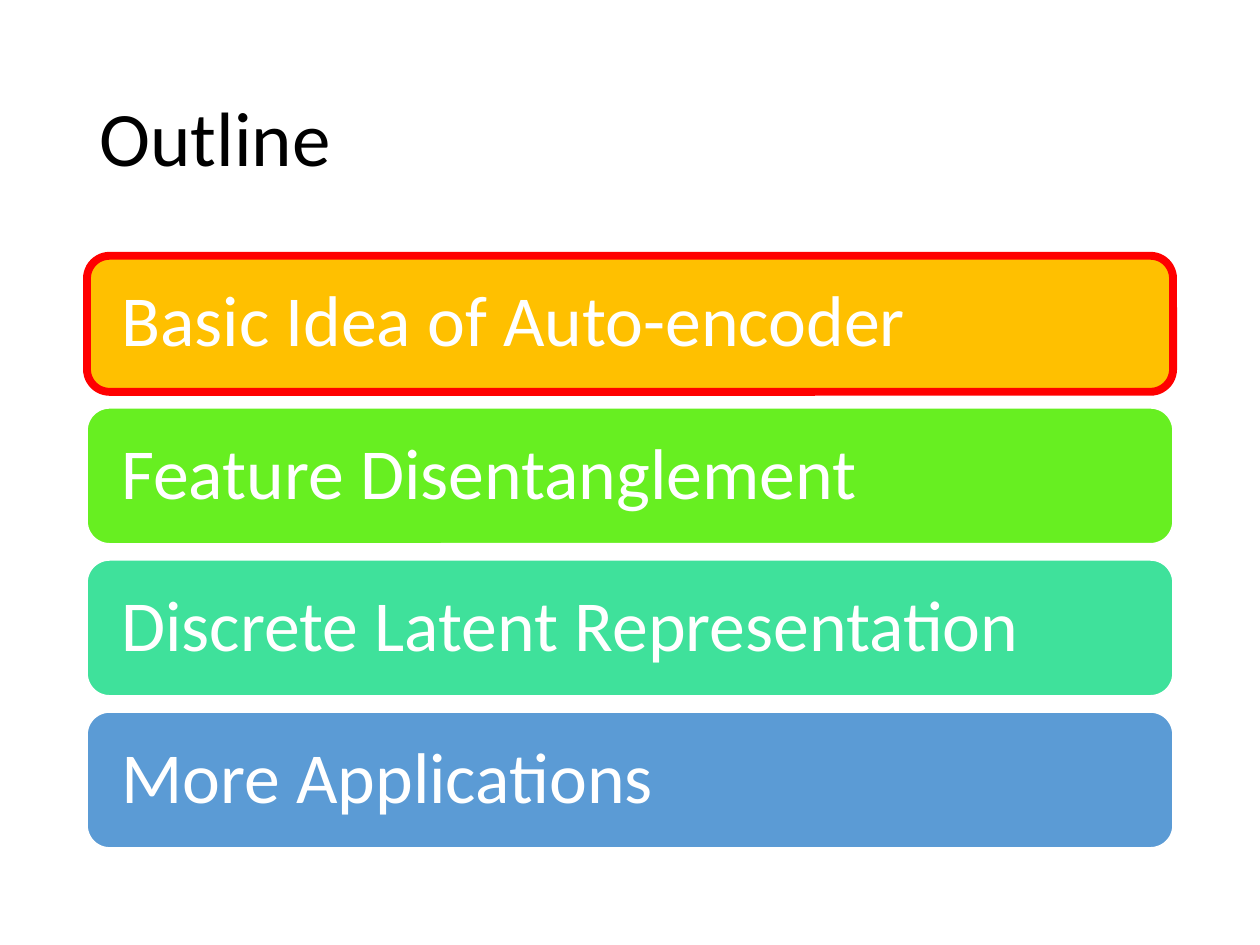
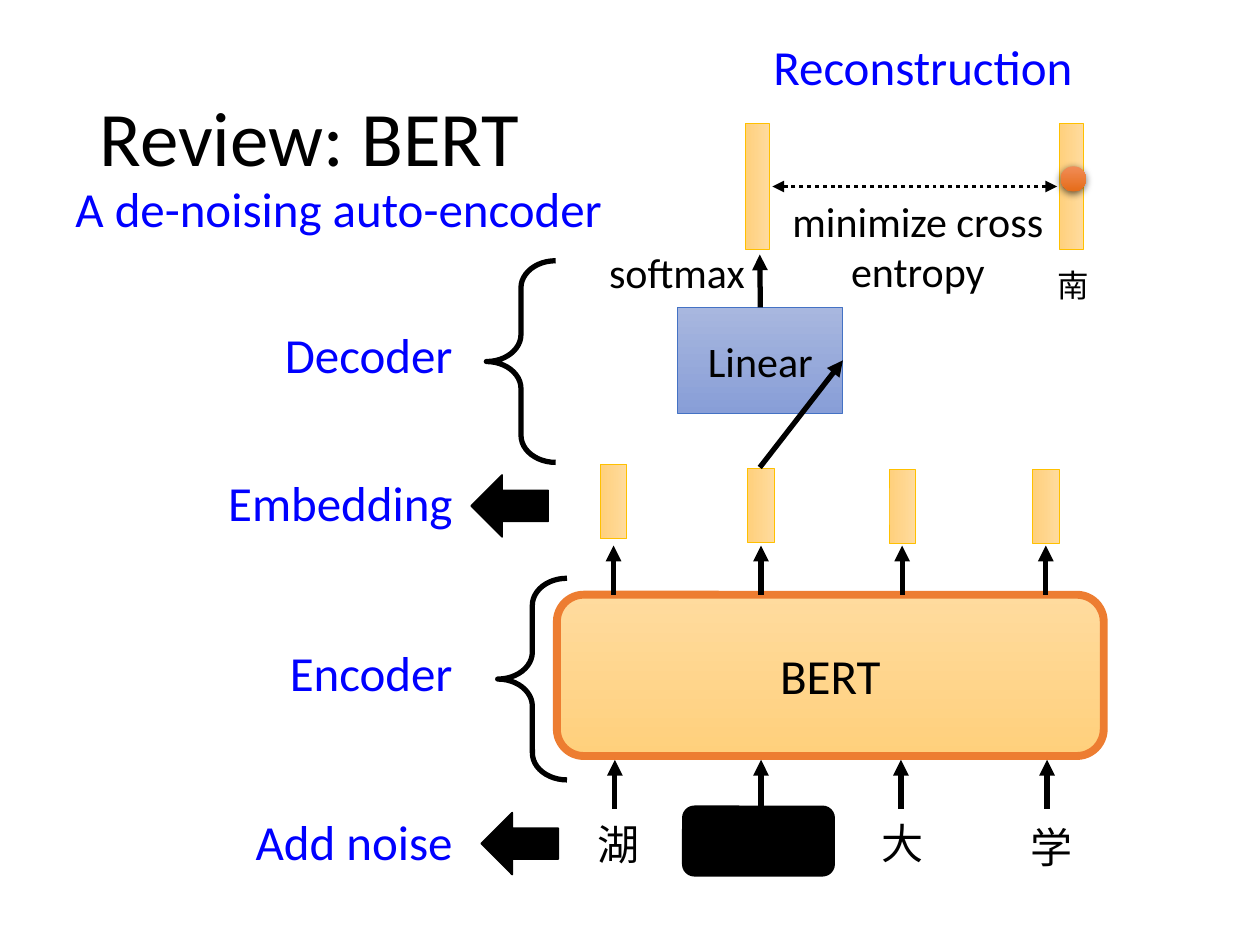
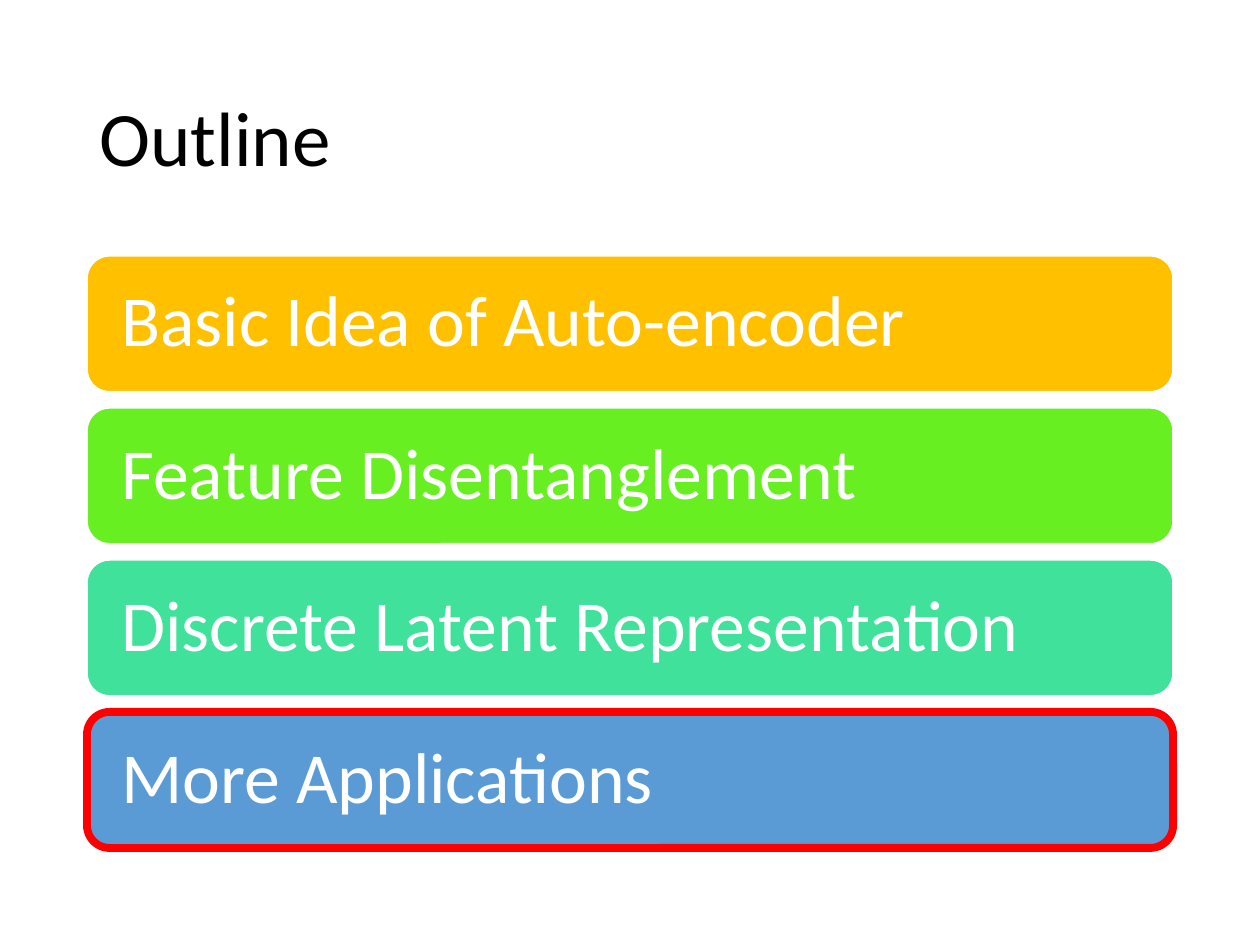
from lxml.etree import SubElement
from pptx import Presentation
from pptx.dml.color import RGBColor
from pptx.enum.dml import MSO_LINE_DASH_STYLE as DASH
from pptx.enum.shapes import MSO_CONNECTOR, MSO_SHAPE as SHAPE
from pptx.enum.text import MSO_ANCHOR as ANCHOR, PP_ALIGN as ALIGN
from pptx.oxml.ns import qn
from pptx.util import Inches, Pt

FONT, CJK_FONT = "Calibri", "Noto Sans CJK TC"
BLACK, WHITE, BLUE, RED = "000000", "FFFFFF", "0000FF", "FF0000"
GOLD, ORANGE = "FFC000", "ED7D31"
SAND = ("FFDB9E", "FFD07C")
PERIWINKLE = ("A8B7DF", "889ED7")
EMBER = ("F18C57", "E56C19")

# Outline slides
TOPICS = [
    ("Basic Idea of Auto-encoder", GOLD),
    ("Feature Disentanglement", "67EF21"),
    ("Discrete Latent Representation", "3FE19B"),
    ("More Applications", "5B9BD5"),
]
MARGIN, CONTENT_W = 0.69, 8.62
FIRST_TOPIC, LAST_TOPIC, TOPIC_H = 2.03, 5.65, 1.08

# BERT slide: (text, centre x, top) and (text, top)
TOKENS = [("湖", 4.9, 6.45), ("大", 7.16, 6.44), ("学", 8.34, 6.47)]
TOKEN_XS = [4.88, 6.04, 7.15, 8.31]
MASKED = 1
EMBEDDINGS = [(4.87, 3.98), (6.04, 4.01), (7.16, 4.02), (8.3, 4.02)]
STAGES = [("Decoder", 2.53), ("Embedding", 3.7), ("Encoder", 5.05), ("Add noise", 6.39)]
BRACES = [(3.86, 2.07), (3.95, 4.59)]
BLOCK_ARROWS = [(3.74, 3.77), (3.82, 6.45)]


def rgb(value):
    return RGBColor.from_string(value)


def paint(fill, colour):
    """Fill with nothing, one colour, or a pair running from top to bottom."""
    if colour is None:
        fill.background()
    elif isinstance(colour, tuple):
        fill.gradient()
        fill.gradient_angle = 270
        for stop, value in zip(fill.gradient_stops, colour):
            stop.color.rgb = rgb(value)
    else:
        fill.solid()
        fill.fore_color.rgb = rgb(colour)


def write(sp, text, size, colour=BLACK, align=ALIGN.CENTER, font=FONT):
    tf = sp.text_frame
    tf.word_wrap = True
    p = tf.paragraphs[0]
    p.alignment = align
    r = p.add_run()
    r.text = text
    r.font.size, r.font.name = Pt(size), font
    r.font.color.rgb = rgb(colour)
    if font == CJK_FONT:
        SubElement(r.font._element, qn("a:ea"), typeface=font)
    return tf


def add_shape(s, kind, box, fill=None, line=None, width=1.0):
    sp = s.shapes.add_shape(kind, *map(Inches, box))
    sp.shadow.inherit = False
    paint(sp.fill, fill)
    paint(sp.line.fill, line)
    if line:
        sp.line.width = Pt(width)
    return sp


def add_label(s, text, box, size=28, colour=BLUE, align=ALIGN.RIGHT, font=FONT):
    write(s.shapes.add_textbox(*map(Inches, box)), text, size, colour, align, font)


def add_arrow(s, start, end, width=3.0, ends=("tailEnd",)):
    line = s.shapes.add_connector(MSO_CONNECTOR.STRAIGHT, *map(Inches, start + end))
    line.line.width = Pt(width)
    line.line.fill.solid()
    line.line.color.rgb = rgb(BLACK)
    if len(ends) == 2:
        line.line.dash_style = DASH.ROUND_DOT
    ln = line.line._get_or_add_ln()
    for end_tag in ends:
        SubElement(ln, qn("a:" + end_tag), type="triangle")
    SubElement(line._element.spPr, qn("a:effectLst"))
    return line


def add_vector(s, cx, cy, length, thickness):
    """Upright bar: a flat rectangle turned a quarter around its centre."""
    box = (cx - length / 2, cy - thickness / 2, length, thickness)
    add_shape(s, SHAPE.RECTANGLE, box, SAND, GOLD, 0.5).rotation = 90


def add_soft_shadow(sp):
    effects = sp._element.spPr.find(qn("a:effectLst"))
    shadow = SubElement(effects, qn("a:outerShdw"), blurRad=str(Pt(4.5)), dist=str(Pt(1.5)),
                        dir="5400000", algn="ctr", rotWithShape="0")
    colour = SubElement(shadow, qn("a:srgbClr"), val=BLACK)
    SubElement(colour, qn("a:alpha"), val="63000")


def add_titled_slide(prs, title):
    s = prs.slides.add_slide(prs.slide_layouts[5])
    sp = s.shapes.title
    sp.left, sp.top, sp.width, sp.height = map(Inches, (MARGIN, 0.4, CONTENT_W, 1.45))
    tf = write(sp, title, 44, align=ALIGN.LEFT)
    tf.vertical_anchor = ANCHOR.MIDDLE
    tf.paragraphs[0].line_spacing = 0.9
    return s


def add_outline(prs, current):
    s = add_titled_slide(prs, "Outline")
    step = (LAST_TOPIC - FIRST_TOPIC) / (len(TOPICS) - 1)
    boxes = [(MARGIN, FIRST_TOPIC + i * step, CONTENT_W, TOPIC_H) for i in range(len(TOPICS))]
    for (topic, colour), box in zip(TOPICS, boxes):
        sp = add_shape(s, SHAPE.ROUNDED_RECTANGLE, box, colour, WHITE)
        tf = write(sp, topic, 41, WHITE, ALIGN.LEFT)
        tf.vertical_anchor = ANCHOR.MIDDLE
        tf.margin_left = tf.margin_right = Inches(0.22)
        tf.paragraphs[0].line_spacing = 0.9
    add_shape(s, SHAPE.ROUNDED_RECTANGLE, boxes[current], line=RED, width=4.5)


def add_bert(prs):
    s = add_titled_slide(prs, "Review: BERT")

    # Encoder, its inputs and its embeddings
    bert = add_shape(s, SHAPE.ROUNDED_RECTANGLE, (4.42, 4.72, 4.34, 1.28), SAND, ORANGE, 4.5)
    write(bert, "BERT", 28)
    mask = add_shape(s, SHAPE.ROUNDED_RECTANGLE, (5.42, 6.4, 1.2, 0.55), BLACK, BLACK)
    for i, x in enumerate(TOKEN_XS):
        arrow = add_arrow(s, (x, 6.42), (x, 6.03))
        if i == MASKED:
            arrow.begin_connect(mask, 0)
            arrow.begin_x = Inches(x)
    for x, y in EMBEDDINGS:
        add_arrow(s, (x, 4.72), (x, 4.33))
        add_vector(s, x, y, 0.59, 0.21)
    for token, x, top in TOKENS:
        add_label(s, token, (x - 0.57, top, 1.15, 0.5), 24, BLACK, ALIGN.CENTER, CJK_FONT)

    # Decoder
    linear = add_shape(s, SHAPE.RECTANGLE, (5.38, 2.44, 1.31, 0.84), PERIWINKLE, "4472C4", 0.5)
    write(linear, "Linear", 24)
    add_arrow(s, (6.03, 3.71), (6.03, 3.3)).end_connect(linear, 3)
    add_arrow(s, (6.03, 2.44), (6.03, 2.02)).begin_connect(linear, 0)
    add_label(s, "softmax", (4.59, 1.91, 1.42, 0.5), 24, BLACK)

    # Output compared with the target
    add_vector(s, 6.01, 1.48, 1, 0.19)
    add_vector(s, 8.5, 1.48, 1, 0.19)
    add_soft_shadow(add_shape(s, SHAPE.OVAL, (8.42, 1.32, 0.2, 0.2), EMBER))
    add_label(s, "南", (7.95, 2.06, 1.13, 0.4), 18, BLACK, ALIGN.CENTER, CJK_FONT)
    add_arrow(s, (8.39, 1.48), (6.13, 1.48), 2.25, ("headEnd", "tailEnd"))
    add_label(s, "minimize cross entropy", (6.17, 1.5, 2.23, 0.91), 24, BLACK, ALIGN.CENTER)

    # Auto-encoder reading of each part
    for stage, top in STAGES:
        add_label(s, stage, (0.51, top, 3.18, 0.57))
    add_label(s, "Reconstruction", (5.43, 0.24, 3.18, 0.57))
    add_label(s, "A de-noising auto-encoder", (0.5, 1.37, 4.88, 0.57), align=ALIGN.LEFT)
    for left, top in BLOCK_ARROWS:
        add_shape(s, SHAPE.LEFT_ARROW, (left, top, 0.61, 0.49), BLACK, BLACK)
    for left, top in BRACES:
        brace = add_shape(s, SHAPE.LEFT_BRACE, (left, top, 0.55, 1.6), line=BLACK, width=3)
        brace.adjustments[0] = 0.39


def main():
    prs = Presentation()
    prs.slide_width, prs.slide_height = Inches(10), Inches(7.5)
    add_outline(prs, current=0)
    add_bert(prs)
    add_outline(prs, current=len(TOPICS) - 1)
    prs.save("out.pptx")


if __name__ == "__main__":
    main()
